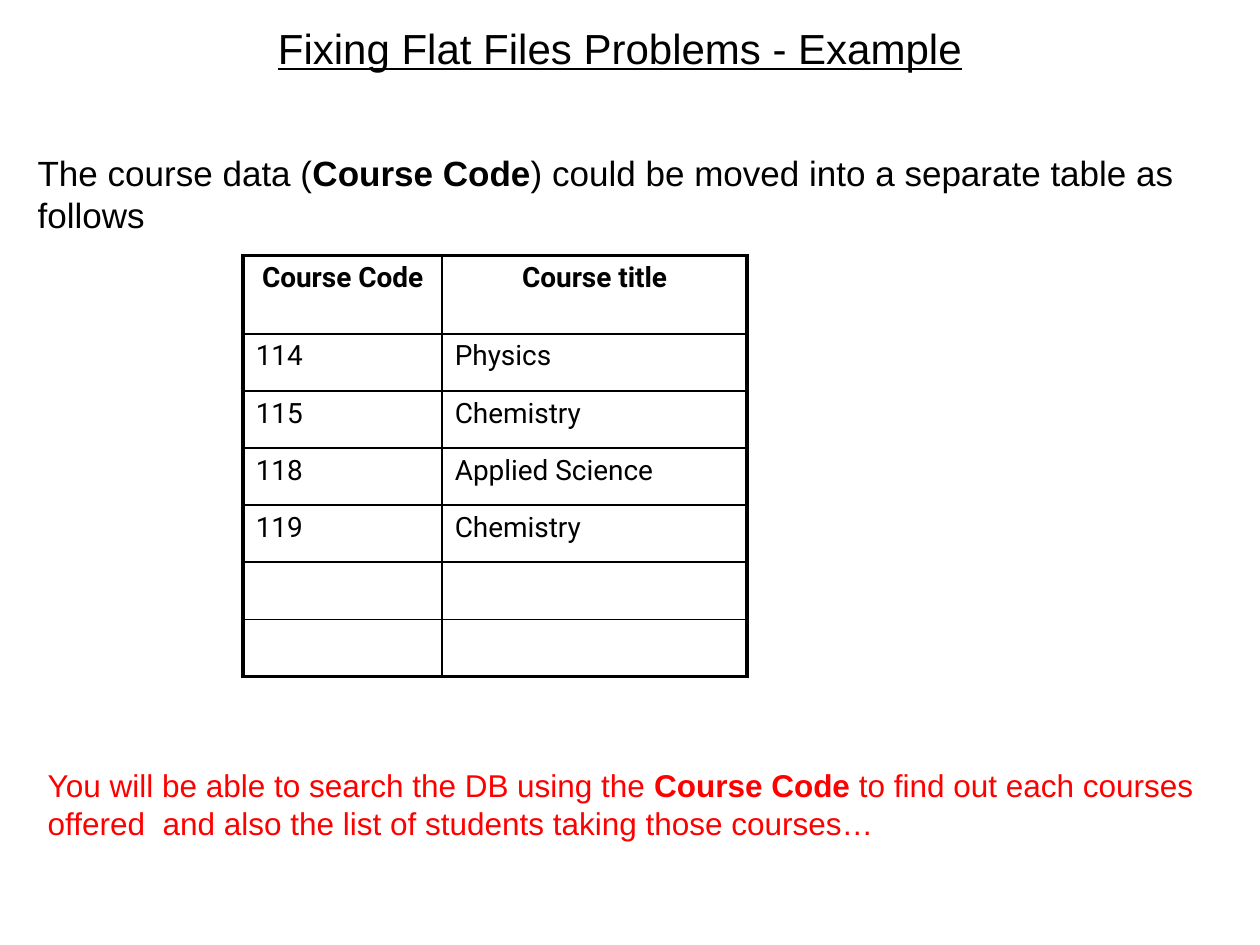
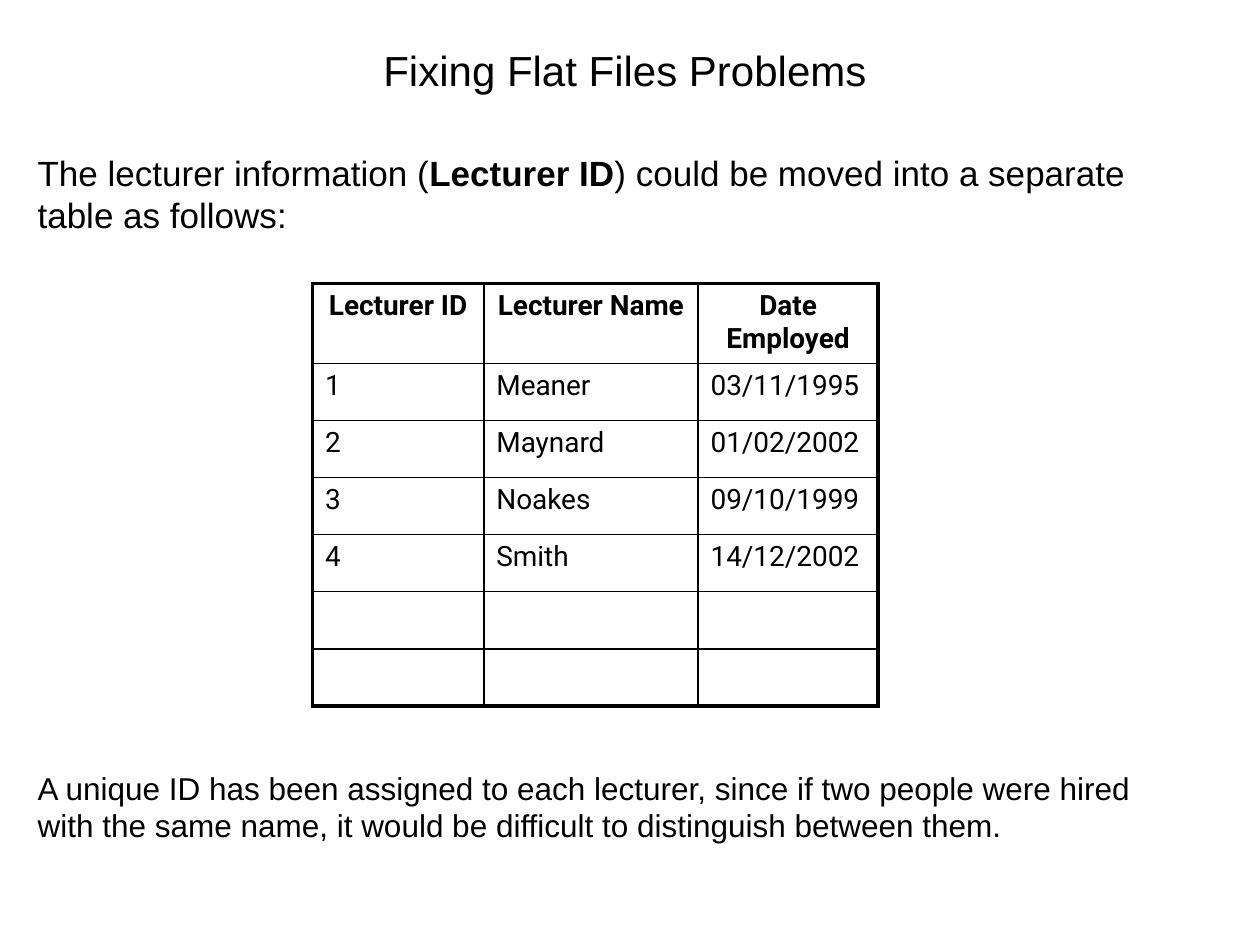
from dataclasses import dataclass

from lxml.etree import SubElement
from pptx import Presentation
from pptx.dml.color import RGBColor as RGB
from pptx.enum.text import MSO_ANCHOR as Anchor, PP_ALIGN as Align
from pptx.oxml.ns import qn
from pptx.util import Inches, Pt


@dataclass(frozen=True)
class Theme:
    ink: str = "000000"
    accent: str = "FF0000"
    font: str = "Arial"
    table_font: str = "Roboto"
    title: int = 24
    body: int = 20
    note: int = 18
    cell: int = 16
    frame: float = 2.25
    rule: float = 1


T = Theme()
BODY_BOX = (0.2, 1.15, 9.45, 5.55)
HEADER_HEIGHT = 0.62


def apply(obj, values):
    """Set each attribute named in values."""
    for name, value in values.items():
        setattr(obj, name, value)


def write(p, text, size, font=T.font, color=T.ink, **style):
    """Fill a paragraph; parts between asterisks are bold."""
    for i, part in enumerate(text.split("*")):
        if part:
            r = p.add_run()
            r.text = part
            apply(r.font, {"name": font, "size": Pt(size), "bold": i % 2 == 1, **style})
            r.font.color.rgb = RGB.from_string(color)


def add_text(slide, box, lines, size, align=Align.LEFT, frame=None, **style):
    tf = slide.shapes.add_textbox(*map(Inches, box)).text_frame
    apply(tf, {"word_wrap": True, **(frame or {})})
    for i, line in enumerate(lines):
        p = tf.add_paragraph() if i else tf.paragraphs[0]
        p.alignment = align
        write(p, line, size, **style)


def add_title(slide, left, top, text, **style):
    add_text(slide, (left, top, 9, 0.69), [text], T.title, Align.CENTER,
             {"vertical_anchor": Anchor.MIDDLE}, **style)


def set_borders(cell, widths):
    """Draw the cell's sides, given widths by side letter in schema order."""
    tc_pr = cell._tc.get_or_add_tcPr()
    for side, width in widths.items():
        ln = SubElement(tc_pr, qn(f"a:ln{side}"), w=str(Pt(width)))
        fill = SubElement(ln, qn("a:solidFill"))
        SubElement(fill, qn("a:srgbClr"), val=T.ink)


def add_grid(slide, left, top, height, col_widths, rows):
    """Table with a heavy frame, thin rules and a bold header row."""
    n_rows, n_cols = len(rows), len(col_widths)
    box = (left, top, sum(col_widths), height)
    table = slide.shapes.add_table(n_rows, n_cols, *map(Inches, box)).table
    apply(table, {"first_row": False, "horz_banding": False})
    for col, width in zip(table.columns, col_widths):
        col.width = Inches(width)
    row_height = (height - HEADER_HEIGHT) / (n_rows - 1)
    for i, (row, texts) in enumerate(zip(table.rows, rows)):
        row.height = Inches(row_height if i else HEADER_HEIGHT)
        for j, (cell, text) in enumerate(zip(row.cells, texts)):
            on_edge = {"L": j == 0, "R": j == n_cols - 1,
                       "T": i == 0, "B": i == n_rows - 1}
            set_borders(cell, {s: T.frame if edge else T.rule
                               for s, edge in on_edge.items()})
            cell.fill.background()
            p = cell.text_frame.paragraphs[0]
            p.alignment = Align.LEFT if i else Align.CENTER
            write(p, text, T.cell, T.table_font, bold=i == 0)


def course_slide(slide):
    add_title(slide, 0.42, 0.03, "Fixing Flat Files Problems - Example", underline=True)
    add_text(slide, BODY_BOX, ["The course data (*Course Code*) could be moved "
                               "into a separate table as follows"], T.body)
    # Course table, with two spare rows
    add_grid(slide, 1.93, 2.03, 3.34, (1.58, 2.42), [
        ("Course Code", "Course title"),
        ("114", "Physics"),
        ("115", "Chemistry"),
        ("118", "Applied Science"),
        ("119", "Chemistry"),
        *[("", "")] * 2,
    ])
    # Search remark
    add_text(slide, (0.28, 6.03, 9.45, 0.71), [
        "You will be able to search the DB using the *Course Code *to find out each courses",
        "offered  and also the list of students taking those courses…",
    ], T.note, color=T.accent)


def lecturer_slide(slide):
    add_title(slide, 0.46, 0.21, "Fixing Flat Files Problems")
    add_text(slide, BODY_BOX, ["The lecturer information (*Lecturer ID*) could be moved "
                               "into a separate table as follows:"], T.body)
    # Lecturer table, with two spare rows
    add_grid(slide, 2.48, 2.25, 3.34, (1.36, 1.7, 1.43), [
        ("Lecturer ID", "Lecturer Name", "Date Employed"),
        ("1", "Meaner", "03/11/1995"),
        ("2", "Maynard", "01/02/2002"),
        ("3", "Noakes", "09/10/1999"),
        ("4", "Smith", "14/12/2002"),
        *[("", "", "")] * 2,
    ])
    # Reason for the ID
    add_text(slide, (0.2, 5.64, 9.06, 1.16), [
        "A unique ID has been assigned to each lecturer, since if two people were hired "
        "with the same name, it would be difficult to distinguish between them.",
    ], T.note, frame={"vertical_anchor": Anchor.BOTTOM, "margin_bottom": Inches(0.1)})


def main():
    prs = Presentation()
    apply(prs, {"slide_width": Inches(10), "slide_height": Inches(7.5)})
    for build in (course_slide, lecturer_slide):
        build(prs.slides.add_slide(prs.slide_layouts[6]))
    prs.save("out.pptx")


if __name__ == "__main__":
    main()
